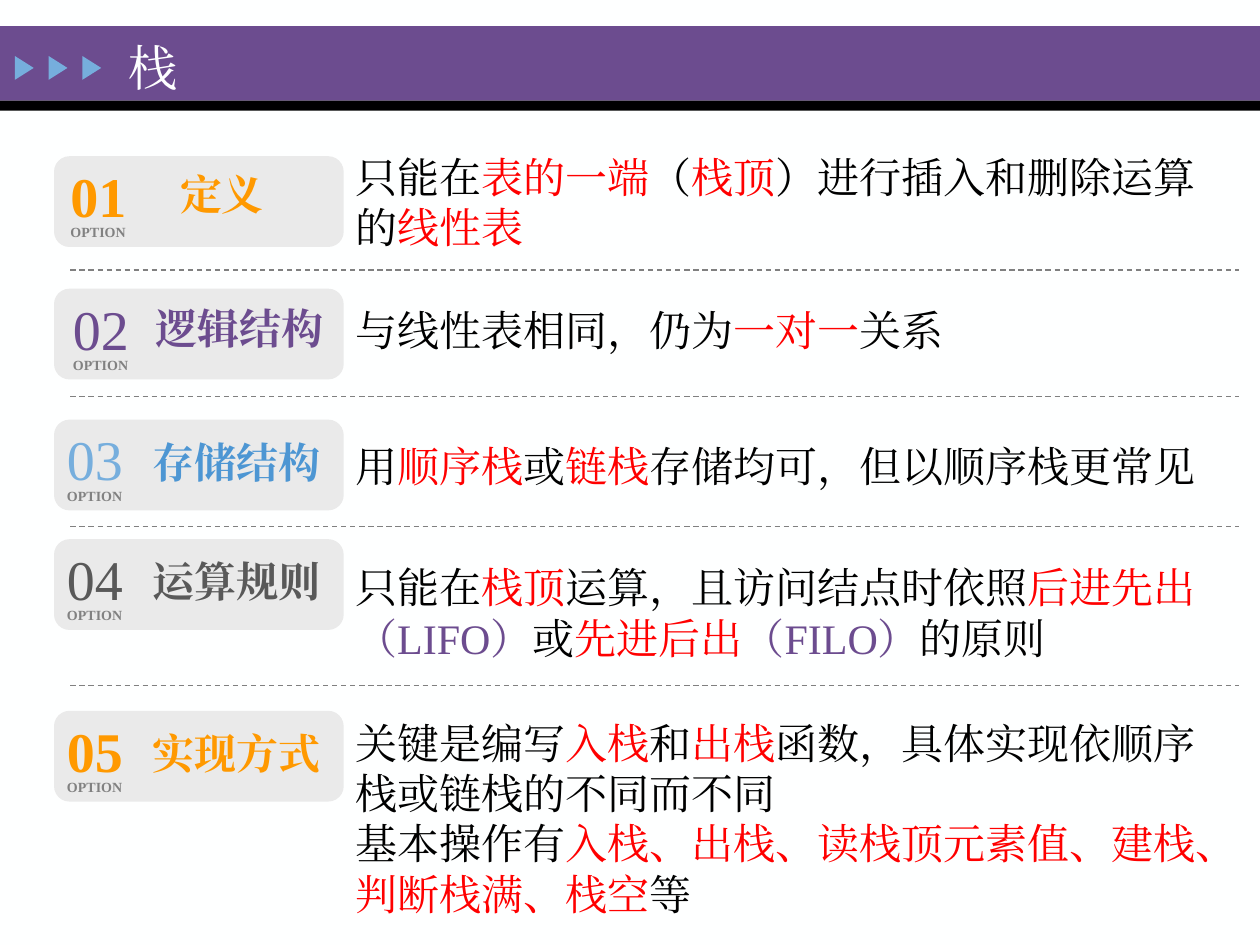
from dataclasses import dataclass

from lxml import etree
from pptx import Presentation
from pptx.dml.color import RGBColor
from pptx.enum.dml import MSO_LINE
from pptx.enum.shapes import MSO_CONNECTOR, MSO_SHAPE
from pptx.enum.text import MSO_ANCHOR, MSO_AUTO_SIZE, PP_ALIGN
from pptx.oxml.ns import qn
from pptx.util import Cm, Pt

HUES = {
    "page": "FEFFFF", "purple": "6C4C8F", "black": "000000", "sky": "76AEDD",
    "card": "EAEAEA", "orange": "FF9900", "blue": "4D96D3", "dark": "595959",
    "red": "FF0000", "grey": "818181", "rule": "808080",
}
MARKS = {"*": "red", "~": "purple"}


@dataclass
class Row:
    top: float
    num_x: float
    num_hue: str
    label: str
    hue: str
    body_y: float
    body_w: float
    body_h: float
    text: list
    bold: bool = False
    label_x: float = 2.82
    label_dy: float = 0.18
    label_w: float = 4.17
    align: PP_ALIGN = PP_ALIGN.LEFT
    pitch: float = 1.0


# In body text "|" parts the runs; a run led by a mark takes its colour.
ROWS = [
    Row(3.15, 1.42, "orange", "定义", "orange", 2.92, 17.83, 2.31,
        ["只能在|*表的一端|（|*栈顶|）进行插入和删除运算的|*线性表"],
        bold=True, label_x=3.38, label_dy=0.1, label_w=3.07,
        align=PP_ALIGN.JUSTIFY),
    Row(5.82, 1.47, "purple", "逻辑结构", "purple", 6.12, 12.47, 1.19,
        ["与线性表相同，仍为|*一对一|关系"],
        label_dy=0.13, label_w=4.01, align=PP_ALIGN.CENTER, pitch=0.9),
    Row(8.46, 1.35, "sky", "存储结构", "blue", 8.76, 17.65, 1.02,
        ["用|*顺序栈|或|*链栈|存储均可，但以顺序栈更常见"]),
    Row(10.87, 1.35, "dark", "运算规则", "dark", 11.2, 17.65, 1.02,
        ["只能在|*栈顶|运算，且访问结点时依照|*后进先出|~（LIFO）|或"
         "|*先进后出|~（FILO）|的原则"]),
    Row(14.33, 1.35, "orange", "实现方式", "orange", 14.33, 18.06, 4.55,
        ["关键是编写|*入栈|和|*出栈|函数，具体实现依顺序栈或链栈的不同而不同",
         "基本操作有|*入栈、出栈、读栈顶元素值、建栈、判断栈满、栈空|等"],
        bold=True, align=PP_ALIGN.JUSTIFY),
]
RULES = [5.44, 8, 10.62, 13.82]


def rgb(name):
    return RGBColor.from_string(HUES[name])


class Deck:
    face = "Times New Roman"

    def __init__(self):
        self.prs = Presentation()
        self.prs.slide_width, self.prs.slide_height = Cm(25.4), Cm(19.05)
        self.slide = self.prs.slides.add_slide(self.prs.slide_layouts[5])
        self.slide.background.fill.solid()
        self.slide.background.fill.fore_color.rgb = rgb("page")

    def style(self, run, size, hue, bold=False):
        font = run.font
        font.size, font.bold, font.name = Pt(size), bold, self.face
        font.color.rgb = rgb(hue)
        east = etree.SubElement(run._r.rPr, qn("a:ea"))
        east.set("typeface", self.face)

    def shape(self, kind, box, hue, home=None):
        home = home or self.slide
        item = home.shapes.add_shape(kind, *map(Cm, box))
        item.shadow.inherit = False
        item.fill.solid()
        item.fill.fore_color.rgb = rgb(hue)
        item.line.fill.background()
        return item

    def group(self):
        return self.slide.shapes.add_group_shape()

    def title(self, text, box):
        item = self.slide.shapes.title
        item.left, item.top, item.width, item.height = map(Cm, box)
        frame = item.text_frame
        frame.text = text
        frame.auto_size = MSO_AUTO_SIZE.NONE
        frame.vertical_anchor = MSO_ANCHOR.MIDDLE
        para = frame.paragraphs[0]
        para.alignment = PP_ALIGN.LEFT
        self.style(para.runs[0], 28, "page")

    def text(self, text, box, size, hue, bold=False, align=PP_ALIGN.LEFT,
             anchor=MSO_ANCHOR.MIDDLE, inset=None, wrap=True, home=None):
        home = home or self.slide
        frame = home.shapes.add_textbox(*map(Cm, box)).text_frame
        frame.word_wrap, frame.vertical_anchor = wrap, anchor
        if inset is not None:
            frame.margin_left = frame.margin_right = Cm(inset)
            frame.margin_top = frame.margin_bottom = Cm(inset)
        para = frame.paragraphs[0]
        para.text, para.alignment = text, align
        self.style(para.runs[0], size, hue, bold)

    def body(self, lines, box, pitch):
        """Add a box of marked-up paragraphs."""
        frame = self.slide.shapes.add_textbox(*map(Cm, box)).text_frame
        frame.word_wrap = True
        for i, line in enumerate(lines):
            para = frame.add_paragraph() if i else frame.paragraphs[0]
            para.line_spacing = pitch
            for part in line.split("|"):
                run = para.add_run()
                run.text = part.lstrip("*~")
                self.style(run, 24, MARKS.get(part[0], "black"))

    def rule(self, y):
        line = self.slide.shapes.add_connector(
            MSO_CONNECTOR.STRAIGHT, Cm(1.42), Cm(y), Cm(24.97), Cm(y))
        line.line.color.rgb = rgb("rule")
        line.line.width = Pt(0.75)
        line.line.dash_style = MSO_LINE.DASH
        etree.SubElement(line._element.spPr, qn("a:effectLst"))

    def header(self, text):
        self.shape(MSO_SHAPE.RECTANGLE, (0, 0.53, 25.4, 1.5), "purple")
        self.shape(MSO_SHAPE.RECTANGLE, (0, 2.03, 25.4, 0.2), "black")
        arrows = self.group()
        for i in range(3):
            box = 0.25 + 0.68 * i, 1.18, 0.48, 0.38
            self.shape(MSO_SHAPE.ISOSCELES_TRIANGLE, box, "sky",
                       arrows).rotation = 90
        self.title(text, (2.34, 0.71, 17.78, 1.27))
        # Lift the title above the bars.
        tree = self.slide.shapes._spTree
        tree.append(self.slide.shapes.title._element)

    def row(self, num, row):
        card = self.shape(MSO_SHAPE.ROUNDED_RECTANGLE,
                          (1.09, row.top, 5.84, 1.83), "card")
        card.adjustments[0] = 0.17
        self.text(row.label, (row.label_x, row.top + row.label_dy - 0.02,
                              row.label_w, 1.37),
                  24, row.hue, True, row.align)
        badge = self.group()
        y = row.top + 0.1
        self.text(f"{num:02}", (row.num_x, y, 1.37, 1.37), 32, row.num_hue,
                  row.bold, inset=0, home=badge)
        self.text("OPTION", (row.num_x - 0.25, y + 1.14, 1.65, 0.61), 8,
                  "grey", True, anchor=MSO_ANCHOR.TOP, wrap=False, home=badge)
        self.body(row.text, (6.91, row.body_y, row.body_w, row.body_h),
                  row.pitch)


def main():
    deck = Deck()
    deck.header("栈")
    for num, row in enumerate(ROWS, 1):
        deck.row(num, row)
    for y in RULES:
        deck.rule(y)
    deck.prs.save("out.pptx")


if __name__ == "__main__":
    main()
